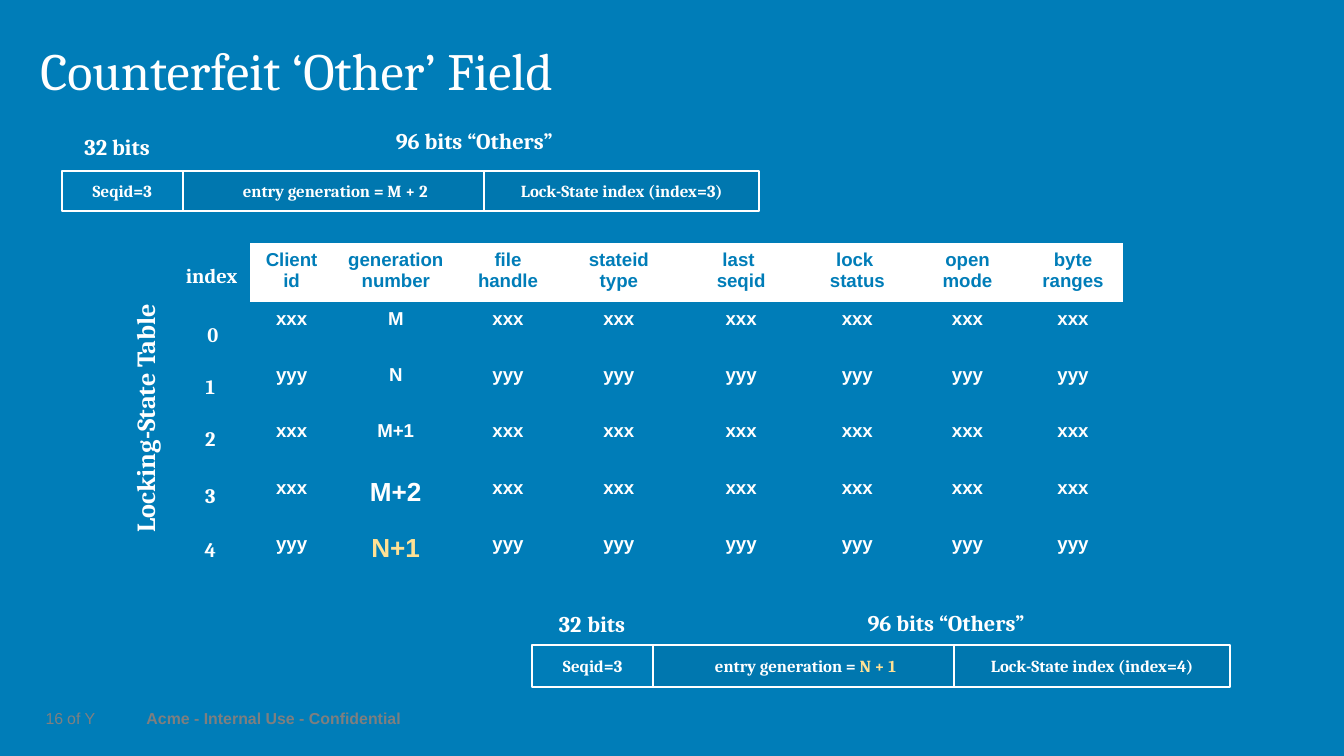
from dataclasses import dataclass
from typing import Optional

from pptx import Presentation
from pptx.dml.color import RGBColor
from pptx.enum.shapes import MSO_SHAPE
from pptx.enum.text import MSO_ANCHOR, MSO_AUTO_SIZE, PP_ALIGN
from pptx.util import Inches, Pt


@dataclass(frozen=True)
class Theme:
    back: str = "007DB8"
    field: str = "0077AF"
    white: str = "FFFFFF"
    accent: str = "FFE194"
    grey: str = "808080"
    footer: str = "7F7F7F"
    serif: str = "Cambria"
    sans: str = "Arial"
    title: float = 28
    large: float = 14
    label: float = 12
    index: float = 11
    cell: float = 10
    packet: float = 9
    small: float = 8.5


T = Theme()


@dataclass(frozen=True)
class Run:
    text: str
    size: float
    color: str = T.white
    font: str = T.serif
    bold: bool = True


@dataclass(frozen=True)
class Box:
    x: float
    y: float
    w: float
    h: float


@dataclass(frozen=True)
class Packet:
    x: float
    y: float
    h: float
    bits: Box
    others: Box
    bits_runs: list[Run]
    generation: list[Run]
    index: int


PACKETS = [
    Packet(0.46, 1.27, 0.3, Box(0.53, 0.94, 0.77, 0.3), Box(2.65, 0.9, 1.76, 0.3),
           [Run("32 bits", T.label)],
           [Run(" entry generation = M + 2", T.packet)], 3),
    Packet(3.96, 4.8, 0.31, Box(4.06, 4.46, 0.77, 0.34), Box(6.16, 4.48, 1.76, 0.3),
           [Run("32", T.label), Run(" ", T.large), Run("bits", T.label)],
           [Run(" entry generation = ", T.packet), Run("N + 1", T.packet, T.accent)], 4),
]
HEADERS = [("Client", "id"), ("generation", "number"), ("file", "handle"),
           ("stateid", "type"), ("last ", "seqid"), ("lock ", "status"),
           ("open", "mode"), ("byte", "ranges")]
COLUMNS = [0.62, 0.93, 0.74, 0.91, 0.91, 0.82, 0.82, 0.75]
ROWS = [
    ("xxx", Run("M", T.cell, font=T.sans)),
    ("yyy", Run("N", T.cell, font=T.sans)),
    ("xxx", Run("M+1", T.cell, font=T.sans)),
    ("xxx", Run("M+2", T.large, font=T.sans)),
    ("yyy", Run("N+1", T.large, T.accent, T.sans)),
]
INDEX_BOXES = [Box(1.25, 2.3, 0.67, 0.37)] + [
    Box(1.23, y, 0.67, 0.37) for y in (2.69, 3.08, 3.5, 3.9)]
NO_GRID = "{2D5ABB26-0587-4C30-8999-92F81FD0307C}"


def rgb(color: str) -> RGBColor:
    """Turn a hex string into a colour."""
    return RGBColor.from_string(color)


def write(p, runs: list[Run], align=PP_ALIGN.CENTER) -> None:
    """Add the runs to a paragraph."""
    p.alignment = align
    for run in runs:
        r = p.add_run()
        r.text = run.text
        r.font.size = Pt(run.size)
        r.font.name = run.font
        r.font.bold = run.bold
        r.font.color.rgb = rgb(run.color)


def add_label(s, box: Box, runs: list[Run], align=PP_ALIGN.CENTER,
              anchor=MSO_ANCHOR.TOP, rotation: float = 0):
    """Add a wrapped text box."""
    sp = s.shapes.add_textbox(*map(Inches, (box.x, box.y, box.w, box.h)))
    sp.rotation = rotation
    tf = sp.text_frame
    tf.word_wrap = True
    tf.vertical_anchor = anchor
    write(tf.paragraphs[0], runs, align)
    return tf


def add_field(s, box: Box, runs: list[Run], fill: Optional[str]) -> None:
    """Add one outlined field of a packet."""
    sp = s.shapes.add_shape(MSO_SHAPE.RECTANGLE,
                            *map(Inches, (box.x, box.y, box.w, box.h)))
    sp.shadow.inherit = False
    if fill:
        sp.fill.solid()
        sp.fill.fore_color.rgb = rgb(fill)
    else:
        sp.fill.background()
    sp.line.color.rgb = rgb(T.white)
    sp.line.width = Pt(1)
    tf = sp.text_frame
    tf.word_wrap = True
    tf.vertical_anchor = MSO_ANCHOR.MIDDLE
    write(tf.paragraphs[0], runs)


def add_packet(s, packet: Packet) -> None:
    """Add three adjoining fields and their size labels."""
    fields = [
        (0.9, [Run("Seqid=3", T.packet)], None),
        (2.24, packet.generation, T.field),
        (2.05, [Run(f"Lock-State index (index={packet.index})", T.packet)], T.field),
    ]
    x = packet.x
    for w, runs, fill in fields:
        add_field(s, Box(x, packet.y, w, packet.h), runs, fill)
        x += w
    add_label(s, packet.bits, packet.bits_runs, PP_ALIGN.LEFT)
    add_label(s, packet.others, [Run("96 bits “Others”", T.label)])


def fill_cell(cell, lines: list[Run], fill: str) -> None:
    """Fill a cell with one paragraph for each line."""
    cell.fill.solid()
    cell.fill.fore_color.rgb = rgb(fill)
    cell.margin_left = cell.margin_right = Inches(0.05)
    tf = cell.text_frame
    for i, run in enumerate(lines):
        write(tf.add_paragraph() if i else tf.paragraphs[0], [run])


def add_state_table(s) -> None:
    """Add the locking-state table."""
    table = s.shapes.add_table(len(ROWS) + 1, len(COLUMNS), Inches(1.86), Inches(1.81),
                               Inches(6.5), Inches(2.54)).table
    table._tbl.tblPr[0].text = NO_GRID
    table.horz_banding = False
    for row in table.rows:
        row.height = Inches(0.42)
    table.rows[0].height = Inches(0.41)
    for c, (width, header) in enumerate(zip(COLUMNS, HEADERS)):
        table.columns[c].width = Inches(width)
        lines = [Run(line, T.cell, T.back, T.sans) for line in header]
        fill_cell(table.cell(0, c), lines, T.white)
        for r, (value, generation) in enumerate(ROWS, 1):
            run = generation if c == 1 else Run(value, T.cell, font=T.sans)
            fill_cell(table.cell(r, c), [run], T.back)


def add_footer(s) -> None:
    """Add the page number and the footer line."""
    parts = [
        (Box(1.09, 5.29, 1.9, 0.13), "Acme - Internal Use - Confidential",
         T.footer, True, PP_ALIGN.LEFT),
        (Box(0.32, 5.29, 0.15, 0.13), "16", T.grey, False, PP_ALIGN.RIGHT),
        (Box(0.5, 5.29, 0.21, 0.13), "of Y", T.grey, False, PP_ALIGN.LEFT),
    ]
    for box, text, color, bold, align in parts:
        tf = add_label(s, box, [Run(text, T.small, color, T.sans, bold)], align,
                       MSO_ANCHOR.MIDDLE)
        tf.word_wrap = False
        tf.auto_size = MSO_AUTO_SIZE.SHAPE_TO_FIT_TEXT
        tf.margin_left = tf.margin_right = tf.margin_top = tf.margin_bottom = 0
        tf.paragraphs[0].line_spacing = 0.9


def add_title(s) -> None:
    """Place and write the title."""
    sp = s.shapes.title
    sp.left, sp.top, sp.width, sp.height = map(Inches, (0.3, 0.29, 8.7, 0.7))
    tf = sp.text_frame
    tf.margin_left = tf.margin_right = 0
    tf.vertical_anchor = MSO_ANCHOR.TOP
    write(tf.paragraphs[0], [Run("Counterfeit ‘Other’ Field", T.title, bold=False)],
          PP_ALIGN.LEFT)
    tf.paragraphs[0].line_spacing = 0.9


def main() -> None:
    """Build and save the slide."""
    prs = Presentation()
    prs.slide_width, prs.slide_height = Inches(10), Inches(10 * 9 / 16)
    s = prs.slides.add_slide(prs.slide_layouts[5])
    s.background.fill.solid()
    s.background.fill.fore_color.rgb = rgb(T.back)
    add_footer(s)
    add_title(s)
    add_packet(s, PACKETS[0])
    add_state_table(s)
    add_label(s, Box(-0.13, 2.92, 2.42, 0.34), [Run("Locking-State Table ", T.large)],
              rotation=270)
    boxes = [Box(1.24, 1.91, 0.67, 0.28), *INDEX_BOXES]
    for box, text in zip(boxes, ["index", *map(str, range(len(ROWS)))]):
        add_label(s, box, [Run(text, T.index)], anchor=MSO_ANCHOR.MIDDLE)
    add_packet(s, PACKETS[1])
    prs.save("out.pptx")


if __name__ == "__main__":
    main()
